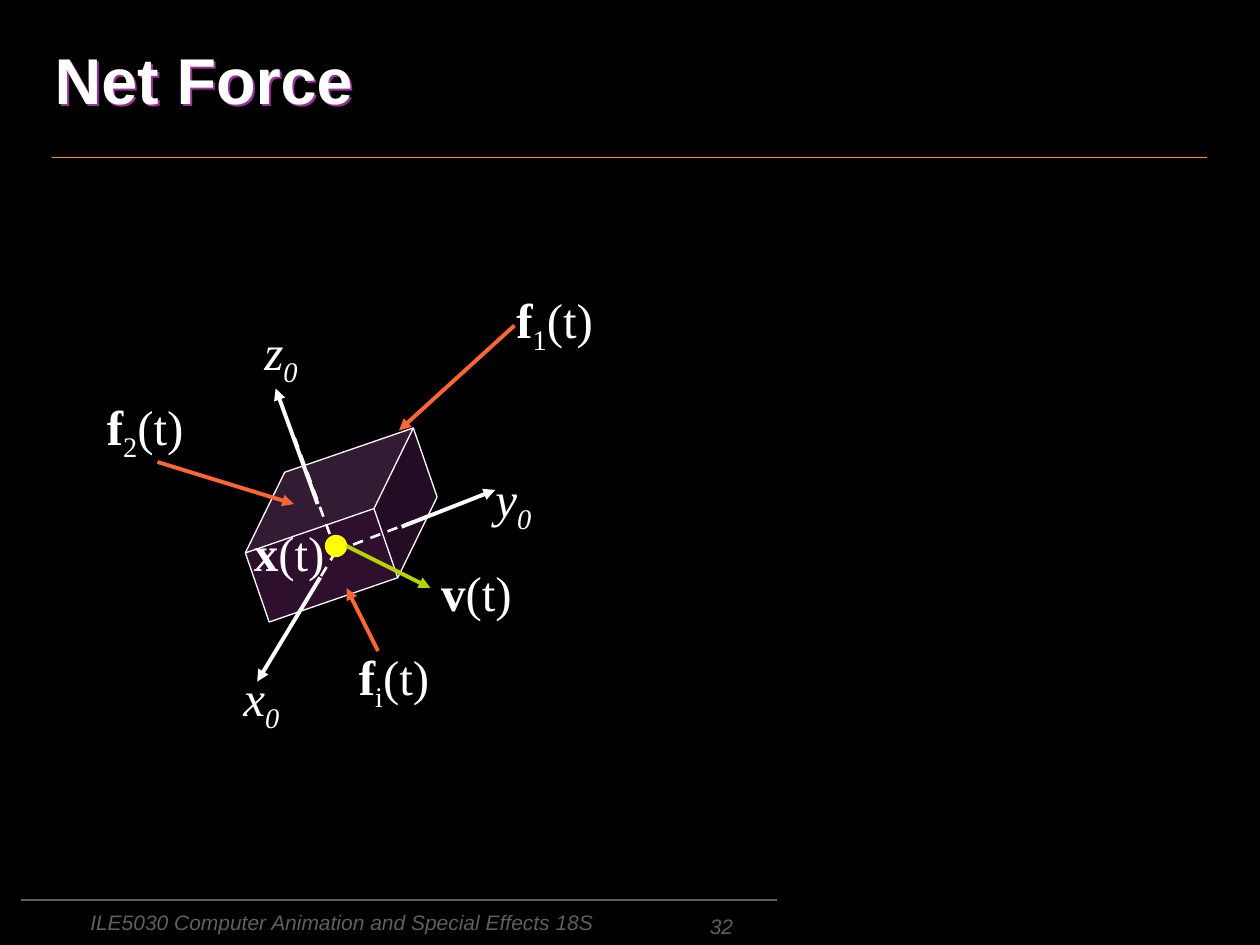
from lxml.etree import SubElement
from pptx import Presentation
from pptx.dml.color import RGBColor
from pptx.enum.dml import MSO_LINE_DASH_STYLE as Dash
from pptx.enum.shapes import MSO_CONNECTOR as Connector, MSO_SHAPE as Shape
from pptx.enum.text import MSO_ANCHOR as Anchor, MSO_AUTO_SIZE as AutoSize, PP_ALIGN as Align
from pptx.oxml.ns import qn
from pptx.util import Pt

WHITE, GREY, FORCE, VELOCITY = "FFFFFF", "5F5F5F", "FF6633", "B9D300"


def paint(color_format, color):
    color_format.rgb = RGBColor.from_string(color)


class ForceSlide:
    heading_font = "Arial"
    label_font = "Times New Roman"
    label_size = 28
    label_height = 41

    def __init__(self, deck, background):
        self.slide = deck.slides.add_slide(deck.slide_layouts[5])
        self.shapes = self.slide.shapes
        self.slide.background.fill.solid()
        paint(self.slide.background.fill.fore_color, background)

    def style(self, run, font, size, color, bold=False, italic=False):
        run.font.name, run.font.size = font, Pt(size)
        run.font.bold, run.font.italic = bold, italic
        paint(run.font.color, color)

    def title(self, text, left, top, width, height, shadow):
        heading = self.shapes.title
        heading.left, heading.top = Pt(left), Pt(top)
        heading.width, heading.height = Pt(width), Pt(height)
        frame = heading.text_frame
        frame.text = text
        frame.auto_size = AutoSize.NONE
        frame.vertical_anchor = Anchor.MIDDLE
        frame.paragraphs[0].alignment = Align.LEFT
        self.style(frame.paragraphs[0].runs[0], self.heading_font, 37, WHITE, bold=True)
        effects = SubElement(heading._element.spPr, qn("a:effectLst"))
        cast = SubElement(effects, qn("a:outerShdw"), dist=str(Pt(1.6)), dir="2700000", algn="ctr")
        SubElement(cast, qn("a:srgbClr"), val=shadow)

    def footer(self, text, left, top, width, height, align=Align.LEFT, anchor=Anchor.TOP):
        frame = self.shapes.add_textbox(Pt(left), Pt(top), Pt(width), Pt(height)).text_frame
        frame.word_wrap = True
        frame.vertical_anchor = anchor
        frame.text = text
        frame.paragraphs[0].alignment = align
        self.style(frame.paragraphs[0].runs[0], self.heading_font, 12, GREY, italic=True)

    def label(self, symbol, subscript, argument, left, top, width):
        frame = self.shapes.add_textbox(Pt(left), Pt(top), Pt(width), Pt(self.label_height)).text_frame
        frame.word_wrap = False
        frame.auto_size = AutoSize.SHAPE_TO_FIT_TEXT
        is_axis = not argument
        for part in filter(None, (symbol, subscript, argument)):
            run = frame.paragraphs[0].add_run()
            run.text = part
            is_vector = part == symbol and not is_axis
            self.style(run, self.label_font, self.label_size, WHITE, is_vector, is_axis)
            if part == subscript:
                run._r.get_or_add_rPr().set("baseline", "-25000")

    def line(self, start, end, color, weight, dash=None, arrow=False):
        connector = self.shapes.add_connector(Connector.STRAIGHT, *map(Pt, start + end))
        paint(connector.line.color, color)
        connector.line.width = Pt(weight)
        if dash:
            connector.line.dash_style = dash
        if arrow:
            SubElement(connector.line._get_or_add_ln(), qn("a:tailEnd"), type="triangle")
        SubElement(connector._element.spPr, qn("a:effectLst"))

    def solid(self, kind, left, top, width, height, fill, outline, opacity=100, rotation=0, depth=None):
        body = self.shapes.add_shape(kind, Pt(left), Pt(top), Pt(width), Pt(height))
        body.shadow.inherit = False
        body.rotation = rotation
        if depth:
            body.adjustments[0] = depth
        body.fill.solid()
        paint(body.fill.fore_color, fill)
        if opacity < 100:
            tint = body._element.spPr.find(qn("a:solidFill"))[0]
            SubElement(tint, qn("a:alpha"), val=str(opacity * 1000))
        paint(body.line.color, outline)
        body.line.width = Pt(0.75)


def main():
    deck = Presentation()
    deck.slide_width, deck.slide_height = Pt(720), Pt(540)
    page = ForceSlide(deck, "000000")

    page.line((30, 90), (690, 90), "FF9900", 1)
    page.line((12, 514.5), (444, 514.5), GREY, 1)
    page.footer("ILE5030 Computer Animation and Special Effects 18S", 44.5, 516, 358, 24)
    page.footer("32", 258, 520.5, 168, 19.5, Align.RIGHT, Anchor.BOTTOM)
    page.title("Net Force", 24, 0, 528, 90, shadow="993399")

    page.solid(Shape.CUBE, 138, 261, 114, 78, "993399", WHITE, opacity=30, rotation=341, depth=0.465)

    center = (192, 315)
    for hidden_end in ((156, 375), (270, 285), (168, 249)):
        page.line(center, hidden_end, WHITE, 1.5, dash=Dash.DASH)
    for start, end in (
        ((183, 330), (147, 389.5)),
        ((229.5, 301), (283, 280)),
        ((181.5, 288), (157.5, 222)),
    ):
        page.line(start, end, WHITE, 2.25, arrow=True)
    page.solid(Shape.OVAL, 186, 306, 12, 12, "FFFF00", "FFFF00")

    for start, end, color in (
        ((198, 312), (246, 336), VELOCITY),
        ((294, 186), (228, 246), FORCE),
        ((216, 372), (198, 336), FORCE),
        ((90, 264), (168, 288), FORCE),
    ):
        page.line(start, end, color, 2.25, arrow=True)

    for symbol, subscript, argument, left, top, width in (
        ("x", "0", "", 132, 378, 36.5),
        ("y", "0", "", 276, 264, 36.5),
        ("z", "0", "", 144, 180, 34.5),
        ("x", "", "(t)", 138, 295, 54.5),
        ("v", "", "(t)", 245, 318, 54.5),
        ("f", "1", "(t)", 288, 162, 60),
        ("f", "2", "(t)", 54, 223, 60),
        ("f", "i", "(t)", 198, 366, 55.5),
    ):
        page.label(symbol, subscript, argument, left, top, width)

    deck.save("out.pptx")


if __name__ == "__main__":
    main()
